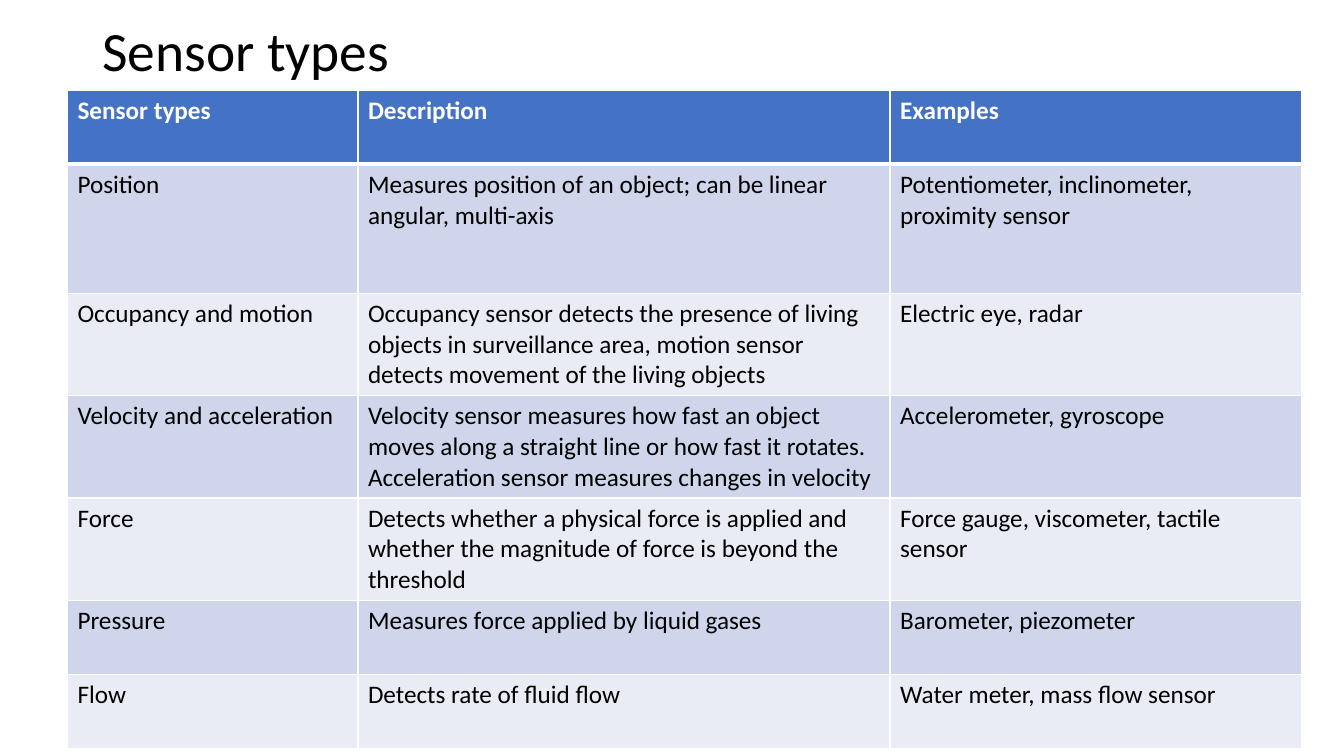
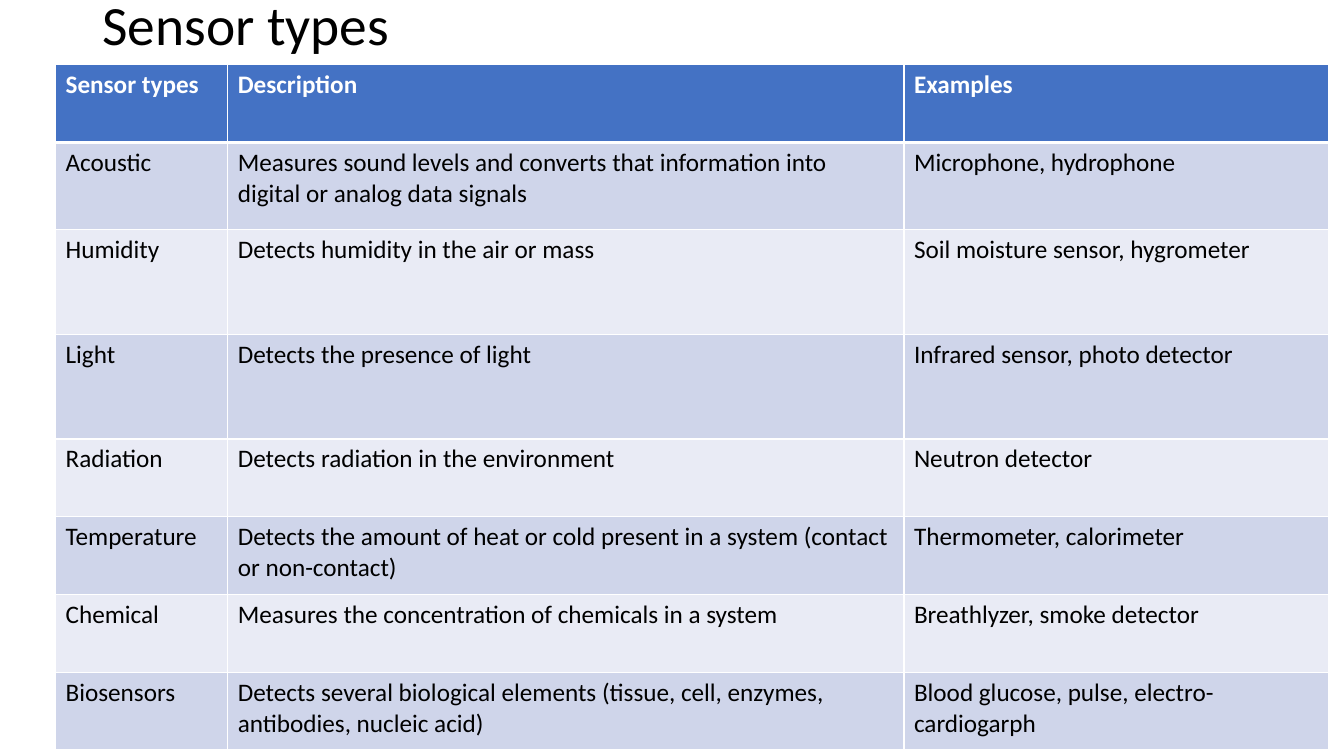
from lxml import etree
from pptx import Presentation
from pptx.dml.color import RGBColor
from pptx.enum import text
from pptx.oxml.ns import qn
from pptx.util import Cm, Pt

COLORS = {
    "title": "000000",
    "header_fill": "4472C4",
    "header_text": "FFFFFF",
    "body_text": "000000",
    "odd_row": "CFD5EA",
    "even_row": "E9EBF5",
    "border": "FFFFFF",
}
FONT = "Calibri"
TITLE_FORMAT = {"name": FONT, "size": Pt(39.6), "bold": False}
HEADER_FORMAT = {"name": FONT, "size": Pt(18), "bold": True}
BODY_FORMAT = {**HEADER_FORMAT, "bold": False}
TITLE = "Sensor types"
HEADINGS = ("Sensor types", "Description", "Examples")

# Sensor tables: all lengths in cm
PHYSICAL = {
    "title_box": (2.33, 0.43, 29.21, 1.83),
    "corner": (1.7, 2.27),
    "columns": (7.32, 13.41, 10.36),
    "row_heights": (1.87, 3.25) + (1.87,) * 5,
    "sensors": (
        ("Position",
         "Measures position of an object; can be linear angular, multi-axis",
         "Potentiometer, inclinometer, proximity sensor"),
        ("Occupancy and motion",
         "Occupancy sensor detects the presence of living objects in "
         "surveillance area, motion sensor detects movement of the living objects",
         "Electric eye, radar"),
        ("Velocity and acceleration",
         "Velocity sensor measures how fast an object moves along a straight line "
         "or how fast it rotates. Acceleration sensor measures changes in velocity",
         "Accelerometer, gyroscope"),
        ("Force",
         "Detects whether a physical force is applied and whether the magnitude "
         "of force is beyond the threshold",
         "Force gauge, viscometer, tactile sensor"),
        ("Pressure", "Measures force applied by liquid gases", "Barometer, piezometer"),
        ("Flow", "Detects rate of fluid flow", "Water meter, mass flow sensor"),
    ),
}
ENVIRONMENT = {
    "title_box": (2.33, 0, 29.21, 1.4),
    "corner": (1.4, 1.63),
    "columns": (4.34, 17.04, 10.7),
    "row_heights": (1.96, 2.19, 2.64, 2.64) + (1.96,) * 4,
    "sensors": (
        ("Acoustic",
         "Measures sound levels and converts that information into digital or "
         "analog data signals",
         "Microphone, hydrophone"),
        ("Humidity", "Detects humidity in the air or mass",
         "Soil moisture sensor, hygrometer"),
        ("Light", "Detects the presence of light", "Infrared sensor, photo detector"),
        ("Radiation", "Detects radiation in the environment", "Neutron detector"),
        ("Temperature",
         "Detects the amount of heat or cold present in a system "
         "(contact or non-contact)",
         "Thermometer, calorimeter"),
        ("Chemical", "Measures the concentration of chemicals in a system",
         "Breathlyzer, smoke detector"),
        ("Biosensors",
         "Detects several biological elements (tissue, cell, enzymes, antibodies, "
         "nucleic acid)",
         "Blood glucose, pulse, electro-cardiogarph"),
    ),
}


def rgb(name):
    return RGBColor.from_string(COLORS[name])


def set_attributes(target, values):
    for attribute, value in values.items():
        setattr(target, attribute, value)


def format_font(font, values, color):
    set_attributes(font, values)
    font.color.rgb = rgb(color)


def add_title(slide, box):
    title = slide.shapes.title
    edges = ("left", "top", "width", "height")
    set_attributes(title, dict(zip(edges, map(Cm, box))))
    frame = title.text_frame
    frame.text = TITLE
    set_attributes(frame, {"auto_size": text.MSO_AUTO_SIZE.NONE, "word_wrap": True,
                           "vertical_anchor": text.MSO_ANCHOR.MIDDLE})
    paragraph = frame.paragraphs[0]
    set_attributes(paragraph, {"alignment": text.PP_ALIGN.LEFT, "line_spacing": 0.9})
    format_font(paragraph.font, TITLE_FORMAT, "title")


def add_borders(cell, widths):
    properties = cell._tc.get_or_add_tcPr()
    for side, width in widths.items():
        line = etree.SubElement(properties, qn(f"a:ln{side}"), w=str(Pt(width)))
        fill = etree.SubElement(line, qn("a:solidFill"))
        etree.SubElement(fill, qn("a:srgbClr"), val=COLORS["border"])


def fill_cell(cell, wording, row):
    # The rule under the header is heavier than the rest of the grid
    add_borders(cell, {"L": 1, "R": 1, "T": 3 if row == 1 else 1,
                       "B": 3 if row == 0 else 1})
    if row == 0:
        fill, color, values = "header_fill", "header_text", HEADER_FORMAT
    else:
        fill = "odd_row" if row % 2 else "even_row"
        color, values = "body_text", BODY_FORMAT
    cell.fill.solid()
    cell.fill.fore_color.rgb = rgb(fill)
    cell.text = wording
    format_font(cell.text_frame.paragraphs[0].runs[0].font, values, color)


def add_sensor_table(slide, content):
    rows = (HEADINGS,) + content["sensors"]
    columns, heights = content["columns"], content["row_heights"]
    table = slide.shapes.add_table(
        len(rows), len(columns), *map(Cm, content["corner"]),
        Cm(sum(columns)), Cm(sum(heights))).table
    for column, width in zip(table.columns, columns):
        column.width = Cm(width)
    for row, (wordings, height) in enumerate(zip(rows, heights)):
        table.rows[row].height = Cm(height)
        for column, wording in enumerate(wordings):
            fill_cell(table.cell(row, column), wording, row)


def main():
    deck = Presentation()
    deck.slide_width, deck.slide_height = Cm(33.87), Cm(19.05)
    title_only = deck.slide_layouts[5]
    for content in (PHYSICAL, ENVIRONMENT):
        slide = deck.slides.add_slide(title_only)
        add_title(slide, content["title_box"])
        add_sensor_table(slide, content)
    deck.save("out.pptx")


if __name__ == "__main__":
    main()
